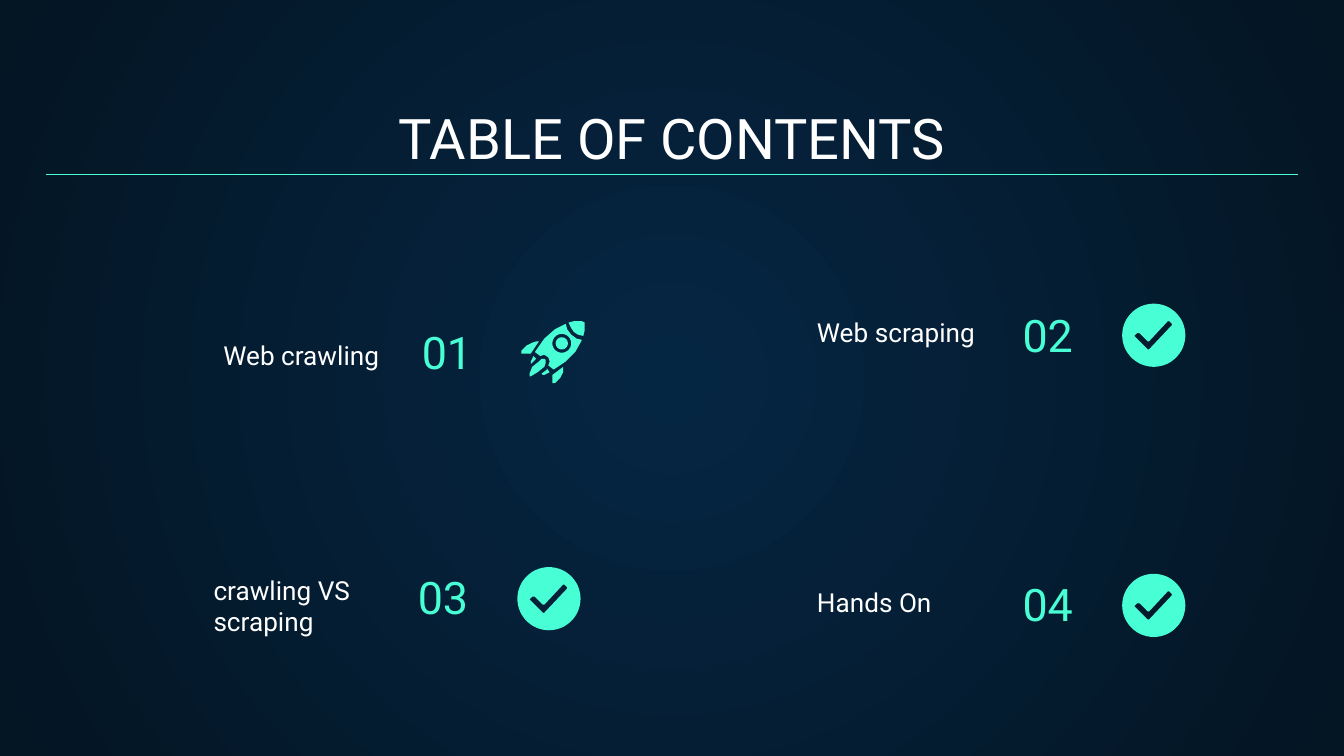
import math
import pptx
import pptx.util
import pptx.dml.color
import pptx.enum.shapes
import pptx.enum.text
from lxml import etree
from pptx.util import Inches

RGB = pptx.dml.color.RGBColor.from_string
ALIGN = pptx.enum.text.PP_ALIGN
theme = {
    "font": "Roboto",
    "mint": RGB("48FFD5"),
    "white": RGB("FFFFFF"),
    "glow": RGB("052643"),
    "night": RGB("041523"),
    "title": pptx.util.Pt(30),
    "number": pptx.util.Pt(24),
    "label": pptx.util.Pt(14),
}

# Widescreen, 16 to 9
deck = pptx.Presentation()
deck.slide_width, deck.slide_height = Inches(10), Inches(10 * 9 / 16)
slide = deck.slides.add_slide(deck.slide_layouts[6])

# Radial background
back = slide.background.fill
back.gradient()
for stop, tone in zip(back.gradient_stops, ("glow", "night")):
    stop.color.rgb = theme[tone]
grad = slide.background._cSld.find(".//{*}gradFill")
space = "{http://schemas.openxmlformats.org/drawingml/2006/main}"
grad.remove(grad.find(space + "lin"))
round_fill = etree.SubElement(grad, space + "path", path="circle")
etree.SubElement(round_fill, space + "fillToRect",
                 {side: "50000" for side in "ltrb"})


def write(text, place, size, tone, align=ALIGN.LEFT):
    """Add a bottom-anchored text box at place (left, top, width, height)."""
    frame = slide.shapes.add_textbox(*map(Inches, place)).text_frame
    look = {"word_wrap": True, "vertical_anchor": pptx.enum.text.MSO_ANCHOR.BOTTOM}
    look.update({"margin_" + side: Inches(0.1)
                 for side in ("left", "top", "right", "bottom")})
    for key, value in look.items():
        setattr(frame, key, value)
    para = frame.paragraphs[0]
    para.alignment = align
    run = para.add_run()
    run.text = text
    for key, value in {"name": theme["font"], "size": theme[size]}.items():
        setattr(run.font, key, value)
    run.font.color.rgb = theme[tone]


def draw(rings, left=0, top=0):
    """Add one mint shape; each ring after the first cuts a hole."""
    rings = [[(Inches(left + x), Inches(top + y)) for x, y in ring]
             for ring in rings]
    pen = slide.shapes.build_freeform(*rings[0][0])
    pen.add_line_segments(rings[0][1:])
    for ring in rings[1:]:
        pen.move_to(*ring[0])
        pen.add_line_segments(ring[1:])
    shape = pen.convert_to_shape()
    shape.shadow.inherit = False
    shape.fill.solid()
    shape.fill.fore_color.rgb = theme["mint"]
    shape.line.fill.background()


# Heading and rule
write("TABLE OF CONTENTS", (0.34, 0.71, 9.32, 0.66), "title", "white", ALIGN.CENTER)
rule = slide.shapes.add_connector(
    pptx.enum.shapes.MSO_CONNECTOR.STRAIGHT,
    Inches(0.34), Inches(1.3), Inches(9.66), Inches(1.3))
rule.line.color.rgb = theme["mint"]
rule.line.width = pptx.util.Pt(0.75)
etree.SubElement(rule._element.spPr, space + "effectLst")

# Entries: label, its place, its alignment, number, number's left and top
items = [
    ("Web crawling", (1.09, 2.39, 1.83, 0.47), ALIGN.RIGHT, "01", 3.04, 2.26),
    ("Web scraping", (5.98, 2.22, 1.42, 0.47), ALIGN.LEFT, "02", 7.51, 2.13),
    ("crawling VS scraping", (1.49, 4.18, 1.42, 0.66), ALIGN.LEFT, "03", 3.01, 4.08),
    ("Hands On", (5.98, 4.23, 1.42, 0.47), ALIGN.LEFT, "04", 7.51, 4.13),
]
for label, place, align, number, left, top in items:
    write(label, place, "label", "white", align)
    write(number, (left, top, 1.29, 0.66), "number", "mint")

# Unit circle, shared by the discs and the rocket's window
turn = [(math.cos(math.tau * i / 60), math.sin(math.tau * i / 60))
        for i in range(60)]

# Check discs
disc = [(0.235 + 0.235 * x, 0.235 + 0.235 * y) for x, y in turn]
tick = [(0.35, 0.13), (0.37, 0.15), (0.37, 0.16), (0.2, 0.34), (0.19, 0.34),
        (0.1, 0.25), (0.09, 0.24), (0.1, 0.23), (0.11, 0.22), (0.13, 0.22),
        (0.19, 0.28), (0.2, 0.28), (0.34, 0.13)]
for left, top in ((8.35, 2.26), (3.85, 4.22), (8.35, 4.27)):
    draw([disc, tick], left, top)

# Rocket: small flames, main flame, fins, nose, then body and window
parts = [
    [(3.97, 2.65), (3.95, 2.69), (3.95, 2.71), (3.99, 2.67)],
    [(4.07, 2.74), (4.07, 2.75), (4.03, 2.78), (4.04, 2.79), (4.05, 2.79),
     (4.09, 2.77)],
    [(4.05, 2.67), (4.03, 2.67), (4.01, 2.69), (3.96, 2.73), (3.94, 2.78),
     (3.94, 2.8), (3.95, 2.8), (4, 2.77), (4.05, 2.73), (4.06, 2.7),
     (4.06, 2.68)],
    [(3.99, 2.54), (3.96, 2.55), (3.92, 2.57), (3.88, 2.61), (3.88, 2.63),
     (3.9, 2.63), (3.94, 2.63), (3.95, 2.63), (4.01, 2.54)],
    [(4.19, 2.73), (4.11, 2.79), (4.11, 2.84), (4.11, 2.85), (4.13, 2.85),
     (4.17, 2.81), (4.19, 2.77)],
    [(4.31, 2.39), (4.27, 2.39), (4.23, 2.4), (4.25, 2.44), (4.27, 2.47),
     (4.3, 2.49), (4.34, 2.5), (4.35, 2.46), (4.35, 2.4), (4.33, 2.39)],
]
for part in parts:
    draw([part])
body = [(4.21, 2.41), (4.13, 2.45), (4.05, 2.52), (3.98, 2.62), (4.02, 2.65),
        (4.05, 2.64), (4.08, 2.66), (4.09, 2.69), (4.08, 2.72), (4.12, 2.75),
        (4.21, 2.69), (4.28, 2.62), (4.33, 2.53), (4.29, 2.52), (4.25, 2.49),
        (4.22, 2.45)]
port, glass = [[(4.18 + size * x, 2.555 + size * y) for x, y in turn]
               for size in (0.07, 0.045)]
draw([body, port])
draw([glass])

deck.save("out.pptx")
